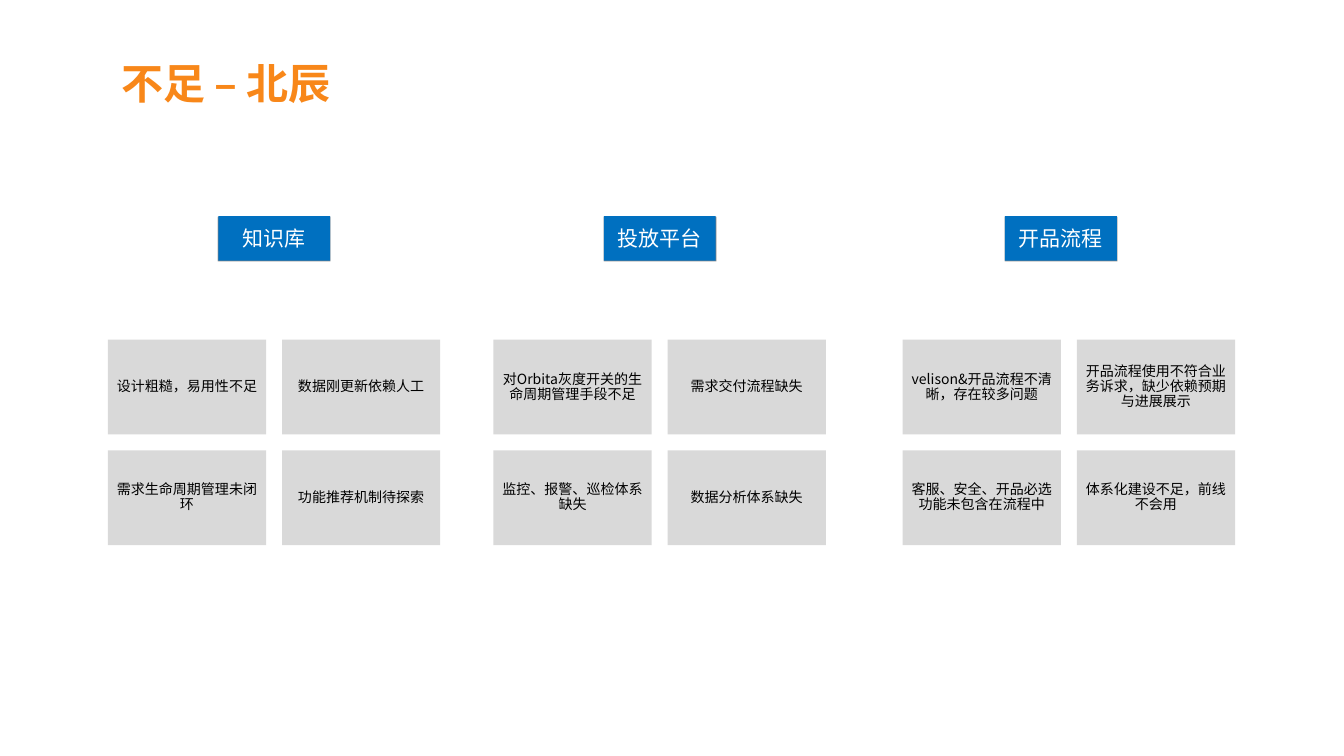
from lxml import etree
from pptx import Presentation
from pptx import util as u
from pptx.dml.color import RGBColor
from pptx.enum import shapes, text
from pptx.oxml import ns

Pt = u.Pt
ORANGE = RGBColor(0xF8, 0x87, 0x19)
BLUE = RGBColor(0x00, 0x70, 0xC0)
GREY = RGBColor(0xD9, 0xD9, 0xD9)
BLACK = RGBColor(0, 0, 0)
WHITE = RGBColor(0xFF, 0xFF, 0xFF)
FONT = "Noto Sans CJK SC"

# Header left, card grid left, header, cards row by row
TOPICS = [
    (311.8, 154.1, "知识库", [
        "设计粗糙，易用性不足", "数据刚更新依赖人工",
        "需求生命周期管理未闭环", "功能推荐机制待探索"]),
    (862.6, 704.9, "投放平台", [
        "对Orbita灰度开关的生命周期管理手段不足", "需求交付流程缺失",
        "监控、报警、巡检体系缺失", "数据分析体系缺失"]),
    (1435.7, 1289.5, "开品流程", [
        "velison&开品流程不清晰，存在较多问题",
        "开品流程使用不符合业务诉求，缺少依赖预期与进展展示",
        "客服、安全、开品必选功能未包含在流程中", "体系化建设不足，前线不会用"]),
]
HEADER_TOP, HEADER_WIDTH, HEADER_HEIGHT = 308.9, 159.8, 63.4
GRID_TOP, CARD_WIDTH, CARD_HEIGHT, GAP = 485.3, 226, 135.4, 22.8


def write(shape, words, *, size, color, bold=False, inset=3, line_spacing=None,
          space_after=0, align=text.PP_ALIGN.CENTER,
          anchor=text.MSO_ANCHOR.MIDDLE):
    frame = shape.text_frame
    frame.word_wrap = True
    frame.vertical_anchor = anchor
    frame.margin_left = frame.margin_right = Pt(inset)
    frame.margin_top = frame.margin_bottom = Pt(inset)
    paragraph = frame.paragraphs[0]
    paragraph.alignment = align
    paragraph.line_spacing = line_spacing
    paragraph.space_after = Pt(space_after)
    run = paragraph.add_run()
    run.text = words
    run.font.name, run.font.size, run.font.bold = FONT, Pt(size), bold
    run.font.color.rgb = color
    east_asian = etree.SubElement(run.font._element, ns.qn("a:ea"))
    east_asian.set("typeface", FONT)


class Deck:
    def __init__(self, presentation):
        self.slide = presentation.slides.add_slide(presentation.slide_layouts[6])

    def title(self, words, left, top, width, height):
        box = self.slide.shapes.add_textbox(Pt(left), Pt(top), Pt(width), Pt(height))
        write(box, words, size=60, color=ORANGE, bold=True,
              align=text.PP_ALIGN.LEFT, anchor=text.MSO_ANCHOR.BOTTOM)

    def rectangle(self, left, top, width, height, fill):
        shape = self.slide.shapes.add_shape(
            shapes.MSO_SHAPE.RECTANGLE, Pt(left), Pt(top), Pt(width), Pt(height))
        shape.shadow.inherit = False
        shape.fill.solid()
        shape.fill.fore_color.rgb = fill
        shape.line.fill.background()
        return shape

    def header(self, words, left):
        shape = self.rectangle(left, HEADER_TOP, HEADER_WIDTH, HEADER_HEIGHT, BLUE)
        effects = shape._element.spPr.find(ns.qn("a:effectLst"))
        shadow = etree.SubElement(
            effects, ns.qn("a:outerShdw"), blurRad=str(Pt(1)), dist=str(Pt(1)),
            dir="5400000", rotWithShape="0")
        color = etree.SubElement(shadow, ns.qn("a:srgbClr"), val=str(BLACK))
        etree.SubElement(color, ns.qn("a:alpha"), val="50000")
        write(shape, words, size=30, color=WHITE)

    def card(self, words, left, top):
        shape = self.rectangle(left, top, CARD_WIDTH, CARD_HEIGHT, GREY)
        write(shape, words, size=20, color=BLACK, inset=7, line_spacing=0.9,
              space_after=7)


def main():
    presentation = Presentation()
    presentation.slide_width, presentation.slide_height = Pt(1920), Pt(1080)
    deck = Deck(presentation)

    # Title
    deck.title("不足 – 北辰", 169.9, 70.6, 473, 86.4)

    # Topics, each with a two-by-two grid of cards
    for header_left, grid_left, header, cards in TOPICS:
        deck.header(header, header_left)
        for index, words in enumerate(cards):
            row, column = divmod(index, 2)
            deck.card(words, grid_left + column * (CARD_WIDTH + GAP),
                      GRID_TOP + row * (CARD_HEIGHT + GAP))

    presentation.save("out.pptx")


if __name__ == "__main__":
    main()
